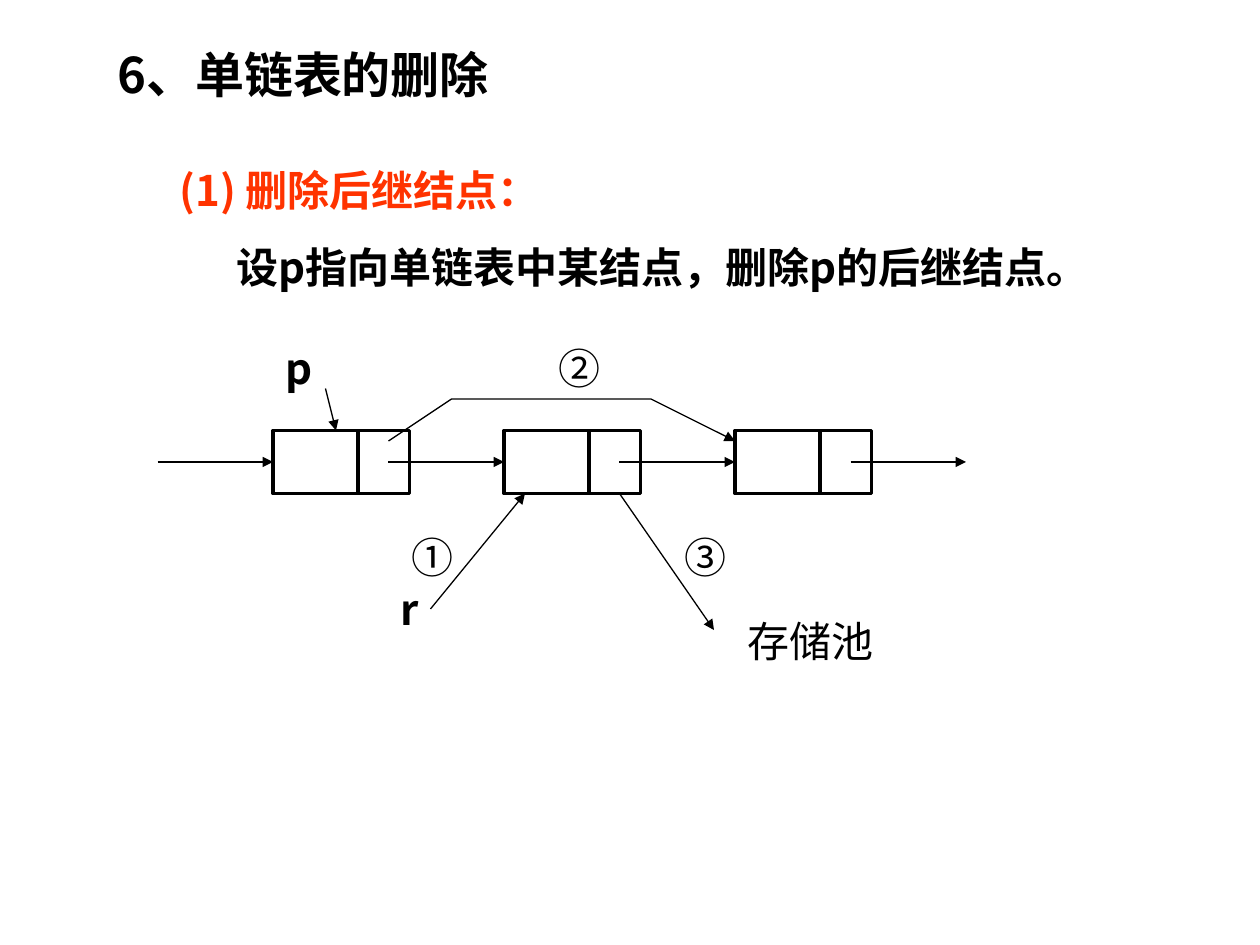
from typing import NamedTuple

from pptx import Presentation
from pptx.dml.color import RGBColor
from pptx.enum.shapes import MSO_CONNECTOR, MSO_SHAPE
from pptx.enum.text import MSO_ANCHOR, MSO_AUTO_SIZE, PP_ALIGN
from pptx.oxml.ns import qn
from pptx.util import Pt
from lxml.etree import SubElement

EMU_PER_PX = 7620  # 120 px to the inch
BLACK, WHITE, RED = "000000", "FFFFFF", "FF3300"
HEADING_FONT, LABEL_FONT = "Noto Sans CJK SC", "Noto Sans CJK JP"

NODE_WIDTH, NODE_HEIGHT, DATA_WIDTH = 130, 60, 81
FIRST_NODE_X, NODE_Y, NODE_STEP, NODE_COUNT = 260, 410, 220, 3
LINK_LENGTH, LINK_Y = 110, NODE_Y + NODE_HEIGHT // 2


class Line(NamedTuple):
    text: str
    color: str = BLACK
    size: int = 24
    bold: bool = True
    indent: int = 0
    space_before: int = 0


class Label(NamedTuple):
    left: int
    top: int
    width: int
    height: int
    lines: list[Line]
    font: str = LABEL_FONT
    fill: str | None = None


class Arrow(NamedTuple):
    x1: int
    y1: int
    x2: int
    y2: int


def px(value: int) -> int:
    return value * EMU_PER_PX


def rgb(color: str) -> RGBColor:
    return RGBColor.from_string(color)


def add_label(page, label: Label) -> None:
    box = page.shapes.add_textbox(
        px(label.left), px(label.top), px(label.width), px(label.height))
    if label.fill:
        box.fill.solid()
        box.fill.fore_color.rgb = rgb(label.fill)
    frame = box.text_frame
    frame.word_wrap = True
    frame.auto_size = MSO_AUTO_SIZE.SHAPE_TO_FIT_TEXT
    frame.vertical_anchor = MSO_ANCHOR.TOP
    frame.text = "\n".join(line.text for line in label.lines)
    for para, line in zip(frame.paragraphs, label.lines):
        para.alignment = PP_ALIGN.LEFT
        para.space_before = Pt(line.space_before)
        properties = para._p.get_or_add_pPr()
        properties.set("marL", str(px(line.indent)))
        properties.set("indent", "0")
        for span in para.runs:
            span.font.size = Pt(line.size)
            span.font.bold = line.bold
            span.font.color.rgb = rgb(line.color)
            span.font.name = label.font
            east_asian = SubElement(span._r.get_or_add_rPr(), qn("a:ea"))
            east_asian.set("typeface", label.font)


def style_line(line, width: float, arrow: bool = False) -> None:
    line.color.rgb = rgb(BLACK)
    line.width = Pt(width)
    if arrow:
        SubElement(line._get_or_add_ln(), qn("a:tailEnd")).set("type", "triangle")


def add_line(page, ends: Arrow, width: float = 0.75, arrow: bool = True) -> None:
    connector = page.shapes.add_connector(
        MSO_CONNECTOR.STRAIGHT, *(px(value) for value in ends))
    style_line(connector.line, width, arrow)
    SubElement(connector._element.spPr, qn("a:effectLst"))


def add_node(page, left: int) -> None:
    """Draw a list node: a data field and a pointer field."""
    node = page.shapes.add_shape(
        MSO_SHAPE.RECTANGLE, px(left), px(NODE_Y), px(NODE_WIDTH), px(NODE_HEIGHT))
    node.shadow.inherit = False
    node.fill.background()
    style_line(node.line, 2)
    divider = left + DATA_WIDTH
    add_line(page, Arrow(divider, NODE_Y, divider, NODE_Y + NODE_HEIGHT), 2, False)


def add_bypass(page, points: list[tuple[int, int]]) -> None:
    """Draw the new link that skips the deleted node."""
    builder = page.shapes.build_freeform(*points[0], scale=EMU_PER_PX)
    builder.add_line_segments(points[1:], close=False)
    bypass = builder.convert_to_shape()
    bypass.shadow.inherit = False
    bypass.fill.background()
    style_line(bypass.line, 0.75, True)


LABELS = [
    Label(150, 151, 997, 181, [
        Line("(1) 删除后继结点：", RED, indent=9),
        Line("设p指向单链表中某结点，删除p的后继结点。", indent=63, space_before=15),
    ], HEADING_FONT, WHITE),
    Label(100, 36, 461, 68, [Line("6、单链表的删除", size=28)], HEADING_FONT),
    Label(380, 500, 100, 60, [Line("①", bold=False)]),
    Label(520, 320, 110, 60, [Line("②", bold=False)]),
    Label(640, 500, 110, 60, [Line("③", bold=False)]),
    Label(700, 580, 220, 60, [Line("存储池", bold=False)]),
    Label(260, 320, 70, 60, [Line("p")]),
    Label(370, 550, 70, 60, [Line("r")]),
]
POINTERS = [
    Arrow(310, 370, 320, 410),  # p to its node
    Arrow(410, 580, 500, 470),  # r to the deleted node
    Arrow(590, 470, 680, 600),  # deleted node to the storage pool
]
BYPASS = [(370, 420), (430, 380), (620, 380), (700, 420)]


def main() -> None:
    deck = Presentation()
    deck.slide_width, deck.slide_height = px(1200), px(900)
    page = deck.slides.add_slide(deck.slide_layouts[6])

    for label in LABELS:
        add_label(page, label)
    for index in range(NODE_COUNT):
        add_node(page, FIRST_NODE_X + index * NODE_STEP)
    for index in range(NODE_COUNT + 1):
        end = FIRST_NODE_X + index * NODE_STEP
        add_line(page, Arrow(end - LINK_LENGTH, LINK_Y, end, LINK_Y))
    for pointer in POINTERS:
        add_line(page, pointer)
    add_bypass(page, BYPASS)

    deck.save("out.pptx")


if __name__ == "__main__":
    main()
